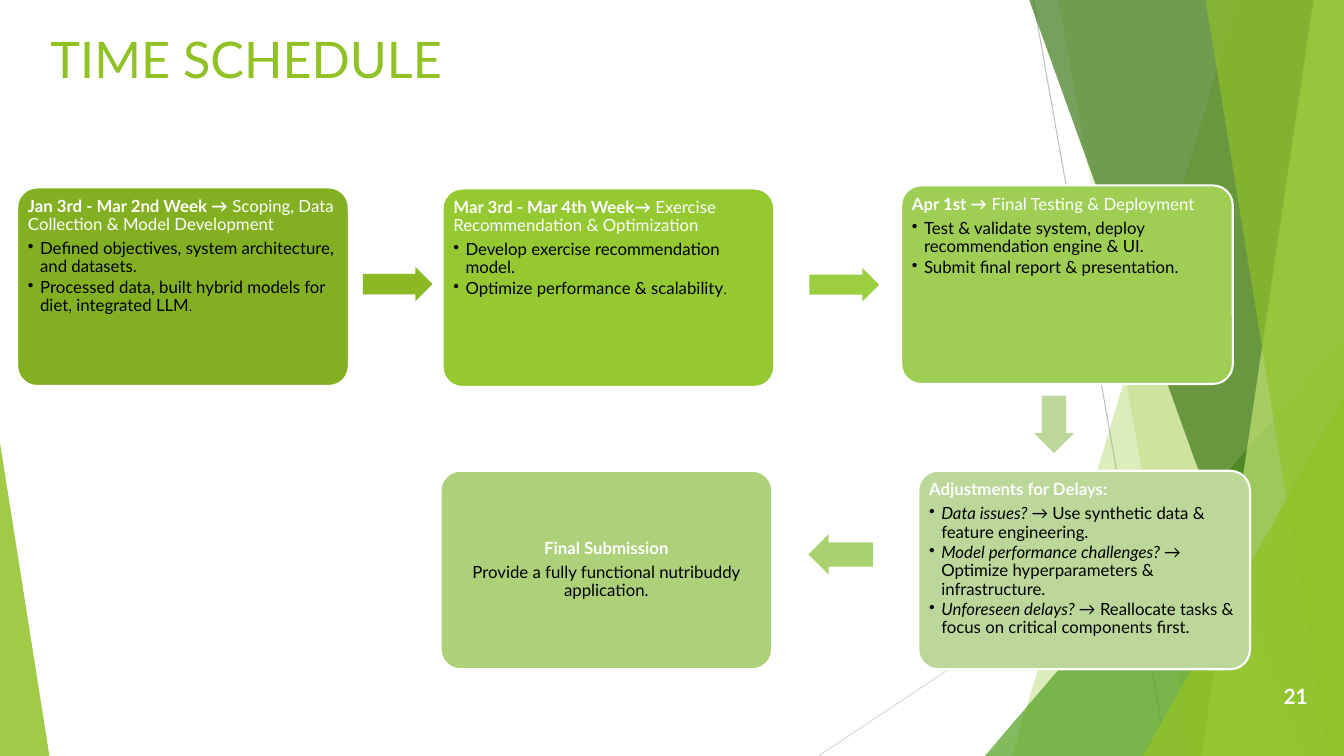
from lxml.etree import SubElement
from pptx import Presentation
from pptx.dml.color import RGBColor
from pptx.enum.shapes import MSO_CONNECTOR, MSO_SHAPE
from pptx.enum.text import MSO_ANCHOR, PP_ALIGN
from pptx.oxml.ns import qn
from pptx.util import Inches, Pt

WIDTH, HEIGHT = Inches(13.33), Inches(7.5)
CARD_WIDTH, CARD_HEIGHT = 24.68, 26.27
FONT = "Lato"
COLORS = {
    "white": "FFFFFF", "black": "000000", "lime": "90C226", "leaf": "54A021",
    "forest": "3F7819", "pale": "C0E474", "steep line": "BFBFBF", "low line": "D9D9D9",
    "scoping": "83B022", "exercise": "94C931", "testing": "9FCE54",
    "submission": "ACD178", "delays": "BBD79A", "to exercise": "8AB924",
    "to testing": "9BCE40", "to submission": "A9D16E", "to delays": "BBD799",
}
SHARDS = [
    (92.1, 75.3, "lime", 30), (78.75, 88.73, "lime", 20), (76.58, 96.83, "forest", 70),
    (97.73, 89.4, "pale", 70), (89.7, 98.85, "lime", 65),
]
CARDS = [
    ("scoping", 1.28, 24.8,
     [("Jan 3rd - Mar 2nd Week →", {"bold": True}),
      (" Scoping, Data Collection & Model Development", {})],
     [[("Defined objectives, system architecture, and datasets.", {})],
      [("Processed data, built hybrid models for diet, integrated LLM", {}),
       (".", {"size": 9})]]),
    ("exercise", 32.93, 24.93,
     [("Mar 3rd - Mar 4th Week→ ", {"bold": True}),
      ("Exercise Recommendation & Optimization", {})],
     [[("Develop exercise recommendation model.", {})],
      [("Optimize performance & scalability", {}), (".", {"size": 9})]]),
    ("testing", 67.05, 24.53,
     [("Apr 1st →", {"bold": True}), (" Final Testing & Deployment", {})],
     [[("Test & validate system, deploy recommendation engine & UI.", {})],
      [("Submit final report & presentation.", {})]]),
    ("delays", 68.33, 62.27,
     [("Adjustments for Delays:", {"bold": True})],
     [[("Data issues? → ", {"italic": True}),
       ("Use synthetic data & feature engineering.", {})],
      [("Model performance challenges? →", {"italic": True}),
       (" Optimize hyperparameters & infrastructure.", {})],
      [("Unforeseen delays? →", {"italic": True}),
       (" Reallocate tasks & focus on critical components first.", {})]]),
]
ARROWS = [
    ("to exercise", 27, 35.33, 5.18, 4.53, 0), ("to testing", 60.23, 35.47, 5.18, 4.4, 0),
    ("to delays", 76.28, 53.47, 4.28, 5.33, 90), ("to submission", 60.15, 70.67, 4.8, 5.33, 180),
]


def across(share):
    return round(WIDTH * share / 100)


def down(share):
    return round(HEIGHT * share / 100)


def area(left, top, width, height):
    return across(left), down(top), across(width), down(height)


def color(name):
    return RGBColor.from_string(COLORS[name])


def paint(shape, fill, opacity=100, line=None):
    shape.shadow.inherit = False
    shape.fill.solid()
    shape.fill.fore_color.rgb = color(fill)
    if opacity < 100:
        tint = shape.fill._xPr.find(qn("a:solidFill"))[0]
        SubElement(tint, qn("a:alpha"), val=str(opacity * 1000))
    if line:
        shape.line.color.rgb = color(line)
        shape.line.width = Pt(1.5)
    else:
        shape.line.fill.background()


def add_preset(page, kind, place, adjustments, fill, **look):
    shape = page.shapes.add_shape(kind, *area(*place))
    for index, value in enumerate(adjustments):
        shape.adjustments[index] = value
    paint(shape, fill, **look)
    return shape


def add_shard(page, top_x, bottom_x, fill, opacity):
    builder = page.shapes.build_freeform(across(top_x), 0)
    corners = [(100, 0), (100, 100), (bottom_x, 100)]
    builder.add_line_segments([(across(x), down(y)) for x, y in corners])
    paint(builder.convert_to_shape(), fill, opacity)


def add_line(page, start, end, shade):
    line = page.shapes.add_connector(
        MSO_CONNECTOR.STRAIGHT, across(start[0]), down(start[1]), across(end[0]), down(end[1]))
    line.line.color.rgb = color(shade)
    line.line.width = Pt(0.75)
    SubElement(line._element.spPr, qn("a:effectLst"))


def write(para, text, ink="white", size=12, bold=False, italic=False):
    span = para.add_run()
    span.text = text
    span.font.name = FONT
    span.font.size = Pt(size)
    span.font.bold = bold
    span.font.italic = italic
    span.font.color.rgb = color(ink)


def write_spans(para, spans, ink="white", align=PP_ALIGN.LEFT, after=4.2):
    para.alignment = align
    para.line_spacing = 0.9
    para.space_after = Pt(after)
    for text, style in spans:
        write(para, text, ink=ink, **style)


def make_bullet(para):
    para.level = 1
    properties = para._p.get_or_add_pPr()
    properties.set("marL", str(Inches(0.12)))
    properties.set("indent", str(-Inches(0.12)))
    SubElement(properties, qn("a:buChar"), char="•")


def add_card(page, name, left, top, anchor=MSO_ANCHOR.TOP):
    card = add_preset(page, MSO_SHAPE.ROUNDED_RECTANGLE,
                      (left, top, CARD_WIDTH, CARD_HEIGHT), [0.1], name, line="white")
    frame = card.text_frame
    frame.word_wrap = True
    frame.vertical_anchor = anchor
    frame.margin_left = frame.margin_right = Inches(0.05)
    frame.margin_top = frame.margin_bottom = Inches(0.05)
    return frame


def add_list_card(page, name, left, top, heading, bullets):
    frame = add_card(page, name, left, top)
    write_spans(frame.paragraphs[0], heading)
    for spans in bullets:
        para = frame.add_paragraph()
        make_bullet(para)
        write_spans(para, spans, ink="black", after=1.8)


def add_final_card(page):
    frame = add_card(page, "submission", 32.78, 62.27, anchor=MSO_ANCHOR.MIDDLE)
    write_spans(frame.paragraphs[0], [("Final Submission", {"bold": True})],
                align=PP_ALIGN.CENTER)
    write_spans(frame.add_paragraph(),
                [("Provide a fully functional nutribuddy application.", {})],
                ink="black", align=PP_ALIGN.CENTER)


def add_backdrop(page):
    triangle = MSO_SHAPE.ISOSCELES_TRIANGLE
    add_line(page, (76.88, 0), (86.85, 100), "steep line")
    add_line(page, (100, 53.73), (60.9, 100), "low line")
    for shard in SHARDS[:2]:
        add_shard(page, *shard)
    add_preset(page, triangle, (73.28, 44.4, 26.72, 55.6), [1], "leaf", opacity=72)
    for shard in SHARDS[2:]:
        add_shard(page, *shard)
    add_preset(page, triangle, (85.05, 52.4, 14.95, 47.6), [1], "lime", opacity=80)
    add_preset(page, triangle, (0, 58.53, 3.68, 41.47), [0], "lime", opacity=85)


def set_title(page, text):
    title = page.shapes.title
    title.left, title.top, title.width, title.height = area(3, 3.07, 70.52, 19.2)
    title.text_frame.vertical_anchor = MSO_ANCHOR.TOP
    para = title.text_frame.paragraphs[0]
    para.alignment = PP_ALIGN.LEFT
    write(para, text, ink="lime", size=36)


def add_page_number(page, number):
    box = page.shapes.add_textbox(*area(89.05, 85.33, 9, 13.47))
    box.text_frame.word_wrap = True
    box.text_frame.vertical_anchor = MSO_ANCHOR.MIDDLE
    para = box.text_frame.paragraphs[0]
    para.alignment = PP_ALIGN.RIGHT
    write(para, number, size=15, bold=True)


def main():
    deck = Presentation()
    deck.slide_width, deck.slide_height = WIDTH, HEIGHT
    page = deck.slides.add_slide(deck.slide_layouts.get_by_name("Title Only"))
    add_backdrop(page)
    set_title(page, "TIME SCHEDULE")
    for card in CARDS:
        add_list_card(page, *card)
    add_final_card(page)
    for name, left, top, width, height, turn in ARROWS:
        arrow = add_preset(page, MSO_SHAPE.RIGHT_ARROW, (left, top, width, height),
                           [0.6, 0.5], name)
        arrow.rotation = turn
    add_page_number(page, "21")
    deck.save("out.pptx")


if __name__ == "__main__":
    main()
